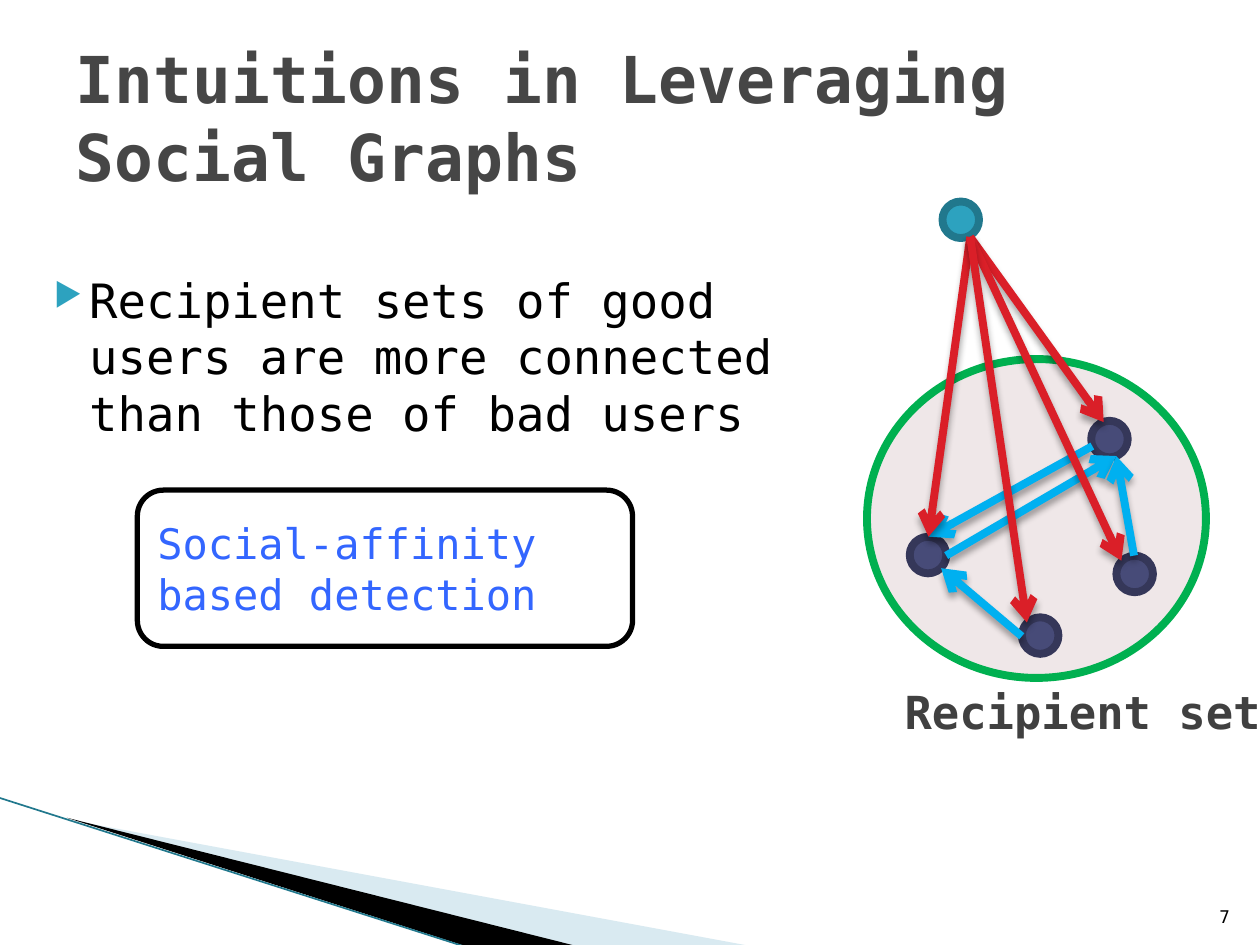
from dataclasses import dataclass

from lxml.etree import SubElement
from pptx import Presentation
from pptx.dml.color import RGBColor
from pptx.enum.shapes import MSO_CONNECTOR, MSO_SHAPE
from pptx.enum.text import MSO_ANCHOR, MSO_AUTO_SIZE, PP_ALIGN
from pptx.oxml.ns import qn
from pptx.util import Pt


@dataclass(frozen=True)
class Theme:
    font: str = "DejaVu Sans Mono"
    title: str = "464646"
    caption: str = "404040"
    black: str = "000000"
    white: str = "FFFFFF"
    accent: str = "2DA2BF"
    accent_dark: str = "21788D"
    member: str = "474B78"
    member_dark: str = "353759"
    group: str = "7D3C4A"
    group_edge: str = "00B050"
    message: str = "DA1F28"
    friendship: str = "00B0F0"
    highlight: str = "3366FF"
    wedge: str = "A0CBDC"
    title_size: float = 36.9
    body_size: float = 27
    caption_size: float = 26
    box_size: float = 24
    number_size: float = 10
    heavy_line: float = 4.5
    box_line: float = 3


class SlideBuilder:
    """Draws styled elements on one slide, with all lengths in points."""

    def __init__(self, slide, theme):
        self.slide = slide
        self.theme = theme

    def set_text(self, holder, text, size, color, bold=False,
                 align=PP_ALIGN.LEFT, anchor=MSO_ANCHOR.TOP):
        frame = holder.text_frame
        frame.text = text
        frame.word_wrap = True
        frame.auto_size = MSO_AUTO_SIZE.NONE
        frame.vertical_anchor = anchor
        paragraph = frame.paragraphs[0]
        paragraph.alignment = align
        font = paragraph.font
        font.name, font.size, font.bold = self.theme.font, Pt(size), bold
        font.color.rgb = RGBColor.from_string(color)
        return paragraph

    def title(self, text, left, top, width, height):
        title = self.slide.shapes.title
        title.left, title.top = Pt(left), Pt(top)
        title.width, title.height = Pt(width), Pt(height)
        self.set_text(title, text, self.theme.title_size, self.theme.title,
                      bold=True, anchor=MSO_ANCHOR.MIDDLE)

    def text(self, text, left, top, width, height, size, color, **style):
        box = self.slide.shapes.add_textbox(Pt(left), Pt(top), Pt(width), Pt(height))
        return self.set_text(box, text, size, color, **style)

    def bullet(self, text, left, top, width, height):
        paragraph = self.text(text, left, top, width, height,
                              self.theme.body_size, self.theme.black)
        paragraph.space_before = Pt(4)
        properties = paragraph._p.get_or_add_pPr()
        properties.set("marL", str(Pt(28.8)))
        properties.set("indent", str(Pt(-20.2)))
        bullet_color = SubElement(properties, qn("a:buClr"))
        SubElement(bullet_color, qn("a:srgbClr"), val=self.theme.accent)
        SubElement(properties, qn("a:buSzPct"), val="68000")
        SubElement(properties, qn("a:buChar"), char="▶")
        default_font = properties.find(qn("a:defRPr"))
        if default_font is not None:
            properties.append(default_font)

    def paint(self, shape, fill, opacity=100):
        shape.shadow.inherit = False
        shape.fill.solid()
        shape.fill.fore_color.rgb = RGBColor.from_string(fill)
        if opacity < 100:
            color = shape._element.spPr.find(qn("a:solidFill"))[0]
            SubElement(color, qn("a:alpha"), val=str(opacity * 1000))

    def shape(self, kind, left, top, width, height, fill, edge, weight, opacity=100):
        shape = self.slide.shapes.add_shape(
            kind, Pt(left), Pt(top), Pt(width), Pt(height))
        self.paint(shape, fill, opacity)
        shape.line.color.rgb = RGBColor.from_string(edge)
        shape.line.width = Pt(weight)
        return shape

    def node(self, center, fill, edge, size=20.9):
        x, y = center
        self.shape(MSO_SHAPE.OVAL, x - size / 2, y - size / 2, size, size,
                   fill, edge, self.theme.heavy_line)

    def polygon(self, points, fill, opacity=100):
        start, *rest = [(Pt(x), Pt(y)) for x, y in points]
        builder = self.slide.shapes.build_freeform(*start)
        builder.add_line_segments(rest, close=True)
        polygon = builder.convert_to_shape()
        self.paint(polygon, fill, opacity)
        polygon.line.fill.background()

    def line(self, start, end, color, weight):
        line = self.slide.shapes.add_connector(
            MSO_CONNECTOR.STRAIGHT, *(Pt(value) for value in (*start, *end)))
        line.line.color.rgb = RGBColor.from_string(color)
        line.line.width = Pt(weight)
        effects = SubElement(line._element.spPr, qn("a:effectLst"))
        return line, effects

    def arrow(self, start, end, color):
        arrow, effects = self.line(start, end, color, self.theme.heavy_line)
        outline = arrow._element.spPr.find(qn("a:ln"))
        SubElement(outline, qn("a:tailEnd"), type="arrow")
        shadow = SubElement(effects, qn("a:outerShdw"), blurRad=str(Pt(4)),
                            dist=str(Pt(3)), dir="5400000", rotWithShape="0")
        shade = SubElement(shadow, qn("a:srgbClr"), val=self.theme.black)
        SubElement(shade, qn("a:alpha"), val="35000")


def main():
    theme = Theme()
    deck = Presentation()
    deck.slide_width, deck.slide_height = Pt(720), Pt(540)
    page = SlideBuilder(deck.slides.add_slide(deck.slide_layouts[5]), theme)

    page.polygon([(39.6, 468.5), (428.4, 540.5), (328.3, 540.5)], theme.wedge, 40)
    page.polygon([(38.2, 467.3), (329, 540.5), (267.8, 541.2)], theme.black)
    page.line((-0.7, 455.8), (267.1, 541.4), theme.accent_dark, 0.95)

    page.title("Intuitions in Leveraging Social Graphs", 36, 21.6, 648, 90)
    page.bullet("Recipient sets of good users are more connected "
                "than those of bad users", 15.1, 151.2, 465.8, 358.6)

    page.shape(MSO_SHAPE.OVAL, 495.4, 205.2, 193.7, 182.2, theme.group,
               theme.group_edge, theme.heavy_line, opacity=12)
    page.node((549, 125.6), theme.accent, theme.accent_dark)
    for recipient in [(634, 250.9), (594.4, 363.2), (530.3, 317.2), (648.4, 328)]:
        page.node(recipient, theme.member, theme.member_dark)

    upper_entry, left_entry = (637.9, 260.6), (530.6, 306.7)
    friendships = [
        ((583.9, 363.6), (537.8, 324.7)),
        ((624.2, 254.9), left_entry),
        ((540.7, 317.5), upper_entry),
        ((648, 317.5), upper_entry),
    ]
    for start, end in friendships:
        page.arrow(start, end, theme.friendship)
    sender_exit = (554.4, 135.4)
    for end in [(630.7, 241.2), left_entry, (640.8, 320.4), (586.8, 355.7)]:
        page.arrow(sender_exit, end, theme.message)

    page.text("Recipient set", 509.8, 387.4, 222.5, 38.9,
              theme.caption_size, theme.caption, bold=True)
    detection = page.shape(MSO_SHAPE.ROUNDED_RECTANGLE, 78.5, 280.1, 283, 89.3,
                           theme.white, theme.black, theme.box_line)
    page.set_text(detection, "Social-affinity based detection", theme.box_size,
                  theme.highlight, anchor=MSO_ANCHOR.MIDDLE)
    page.text("7", 681.1, 504.7, 28.8, 28.8, theme.number_size, theme.black,
              align=PP_ALIGN.RIGHT, anchor=MSO_ANCHOR.BOTTOM)

    deck.save("out.pptx")


if __name__ == "__main__":
    main()
